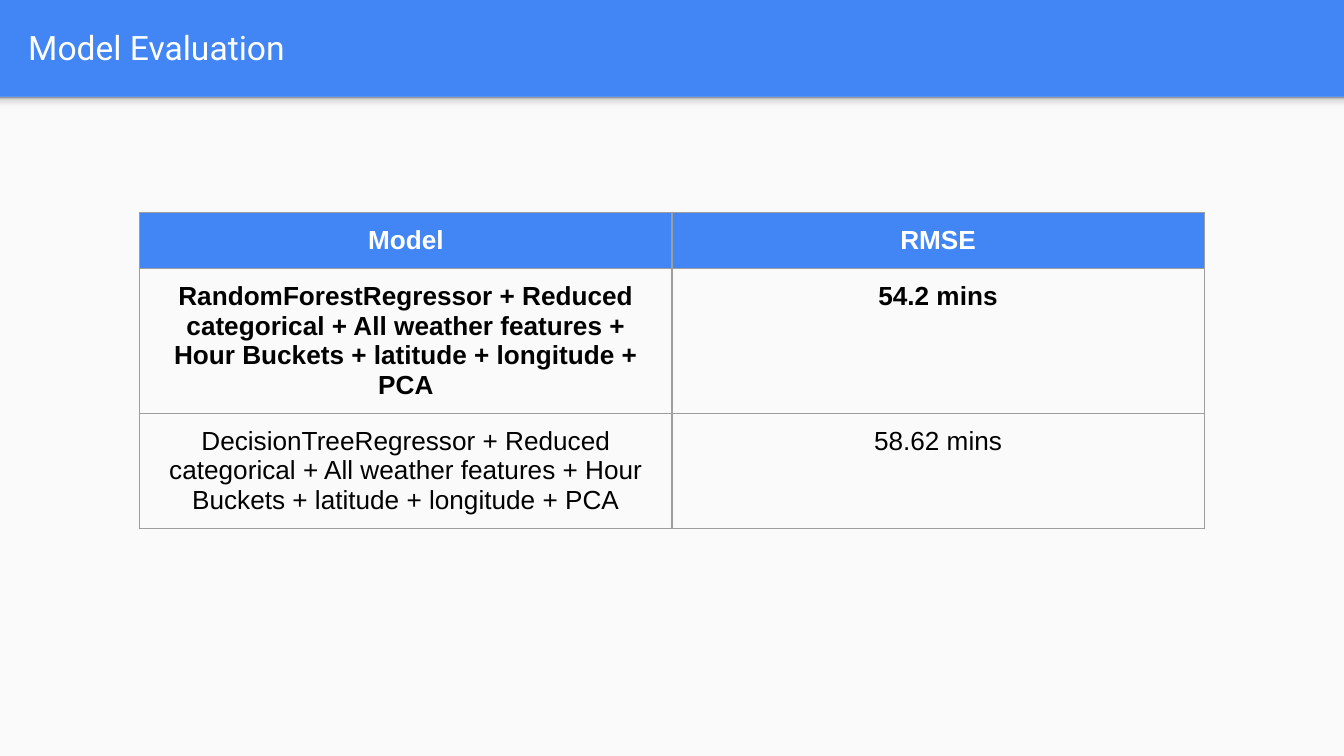
from lxml import etree
from pptx import Presentation
from pptx.dml.color import RGBColor
from pptx.enum.shapes import MSO_SHAPE
from pptx.enum.text import MSO_ANCHOR, PP_ALIGN
from pptx.oxml.ns import qn
from pptx.util import Inches, Pt

RECT = MSO_SHAPE.RECTANGLE
LEFT, CENTER = PP_ALIGN.LEFT, PP_ALIGN.CENTER
TOP, MIDDLE = MSO_ANCHOR.TOP, MSO_ANCHOR.MIDDLE

BLUE = RGBColor(0x42, 0x85, 0xF4)
PAPER = RGBColor(0xFA, 0xFA, 0xFA)
WHITE = RGBColor(0xFF, 0xFF, 0xFF)
BLACK = RGBColor(0x00, 0x00, 0x00)
GREY = RGBColor(0x9E, 0x9E, 0x9E)
FADE = [
    (0, RGBColor(0xF9, 0xF9, 0xF9)),
    (36, RGBColor(0xF9, 0xF9, 0xF9)),
    (80, RGBColor(0xDE, 0xDE, 0xDE)),
    (100, RGBColor(0x99, 0x99, 0x99)),
]

# A 16:9 page
WIDE = Inches(10)
HIGH = WIDE * 9 // 16
HEAD = Inches(0.72)
PAD = Inches(0.1)

FEATURES = ("Reduced categorical + All weather features + "
            "Hour Buckets + latitude + longitude + PCA")
ROWS = [
    ("Model", "RMSE"),
    (f"RandomForestRegressor + {FEATURES}", "54.2 mins"),
    (f"DecisionTreeRegressor + {FEATURES}", "58.62 mins"),
]


def write(frame, text, size=14, font="Arial", color=BLACK, bold=False,
          align=LEFT):
    frame.word_wrap = True
    para = frame.paragraphs[0]
    para.alignment = align
    run = para.add_run()
    run.text = text
    run.font.size = Pt(size)
    run.font.name = font
    run.font.color.rgb = color
    run.font.bold = bold


def pad(item):
    item.margin_left = item.margin_right = PAD
    item.margin_top = item.margin_bottom = PAD


def panel(slide, box):
    shape = slide.shapes.add_shape(RECT, *box)
    shape.shadow.inherit = False
    shape.line.fill.background()
    return shape


def fade(shape):
    """Fill a shape with the soft edge, dark at the top."""
    shape.fill.gradient()
    shape.fill.gradient_angle = 90
    stops = shape.fill._fill._gradFill.find(qn("a:gsLst"))
    for stop in list(stops):
        stops.remove(stop)
    for share, color in FADE:
        stop = etree.SubElement(stops, qn("a:gs"), pos=str(share * 1000))
        etree.SubElement(stop, qn("a:srgbClr"), val=str(color))


def edge(cell):
    """Draw a thin grey line on all four sides of a cell."""
    props = cell._tc.get_or_add_tcPr()
    for spot, side in enumerate(("a:lnL", "a:lnR", "a:lnT", "a:lnB")):
        line = etree.Element(qn(side), w=str(Pt(0.75)))
        fill = etree.SubElement(line, qn("a:solidFill"))
        etree.SubElement(fill, qn("a:srgbClr"), val=str(GREY))
        props.insert(spot, line)


def base(slide, box):
    """Page below the header, with the header's shadow on it."""
    left, top, width, height = box
    page = panel(slide, box)
    page.fill.solid()
    page.fill.fore_color.rgb = PAPER
    fade(panel(slide, (left, top, width, Inches(0.12))))


def header(slide, box):
    left, top, width, height = box
    title = slide.shapes.title
    title.left, title.top = left + Inches(0.11), top + Inches(0.02)
    title.width, title.height = width - Inches(0.35), height - Inches(0.06)
    frame = title.text_frame
    pad(frame)
    frame.vertical_anchor = MIDDLE
    write(frame, "Model Evaluation", size=18, font="Roboto", color=WHITE)
    slide.shapes._spTree.append(title._element)


def scores(slide, box):
    table = slide.shapes.add_table(len(ROWS), len(ROWS[0]), *box).table
    for r, row in enumerate(ROWS):
        for c, text in enumerate(row):
            cell = table.cell(r, c)
            pad(cell)
            cell.vertical_anchor = TOP
            if r == 0:
                cell.fill.solid()
                cell.fill.fore_color.rgb = BLUE
            else:
                cell.fill.background()
            edge(cell)
            write(cell.text_frame, text, bold=r < 2, align=CENTER,
                  color=WHITE if r == 0 else BLACK)


def main():
    deck = Presentation()
    deck.slide_width, deck.slide_height = WIDE, HIGH
    slide = deck.slides.add_slide(deck.slide_layouts[5])
    slide.background.fill.solid()
    slide.background.fill.fore_color.rgb = BLUE

    base(slide, (0, HEAD, WIDE, HIGH - HEAD))
    header(slide, (0, 0, WIDE, HEAD))
    # Rows start at one line and grow with their text
    side = Inches(1.04)
    scores(slide, (side, Inches(1.58), WIDE - 2 * side,
                   len(ROWS) * Inches(0.42)))
    deck.save("out.pptx")


if __name__ == "__main__":
    main()
